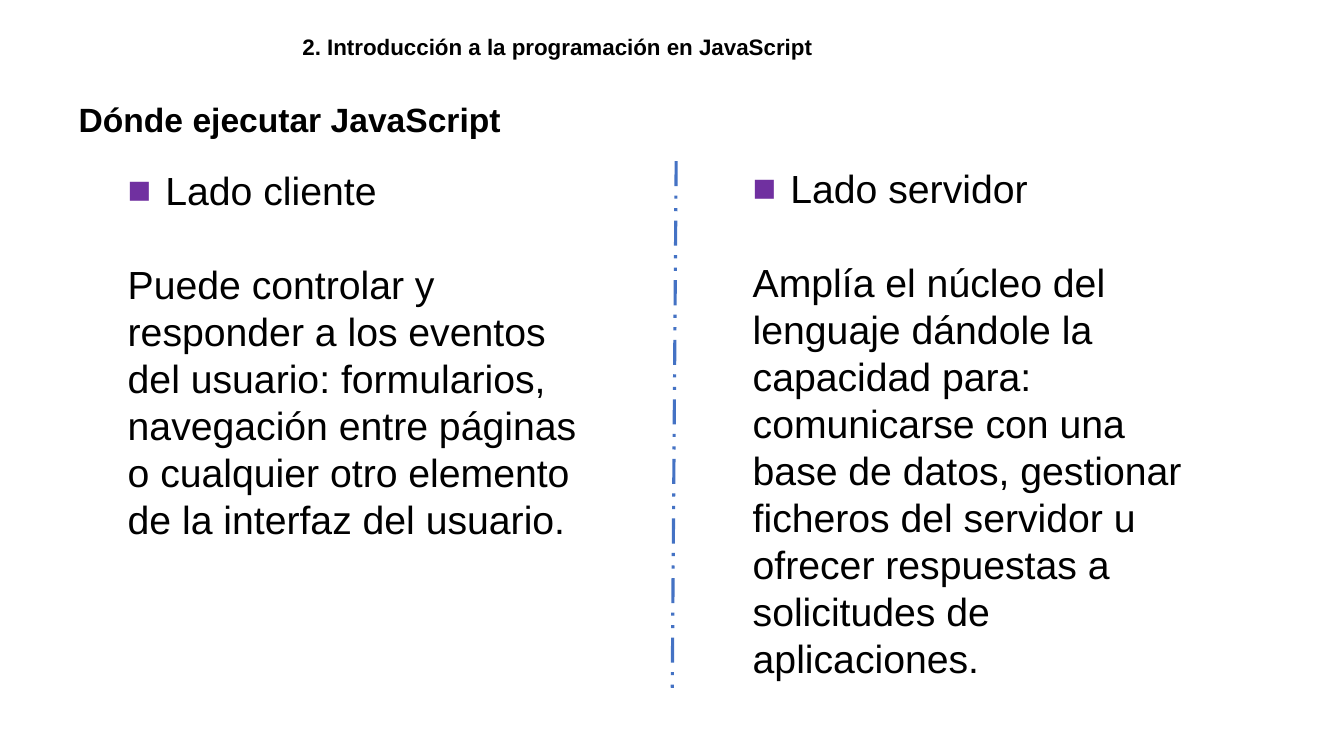
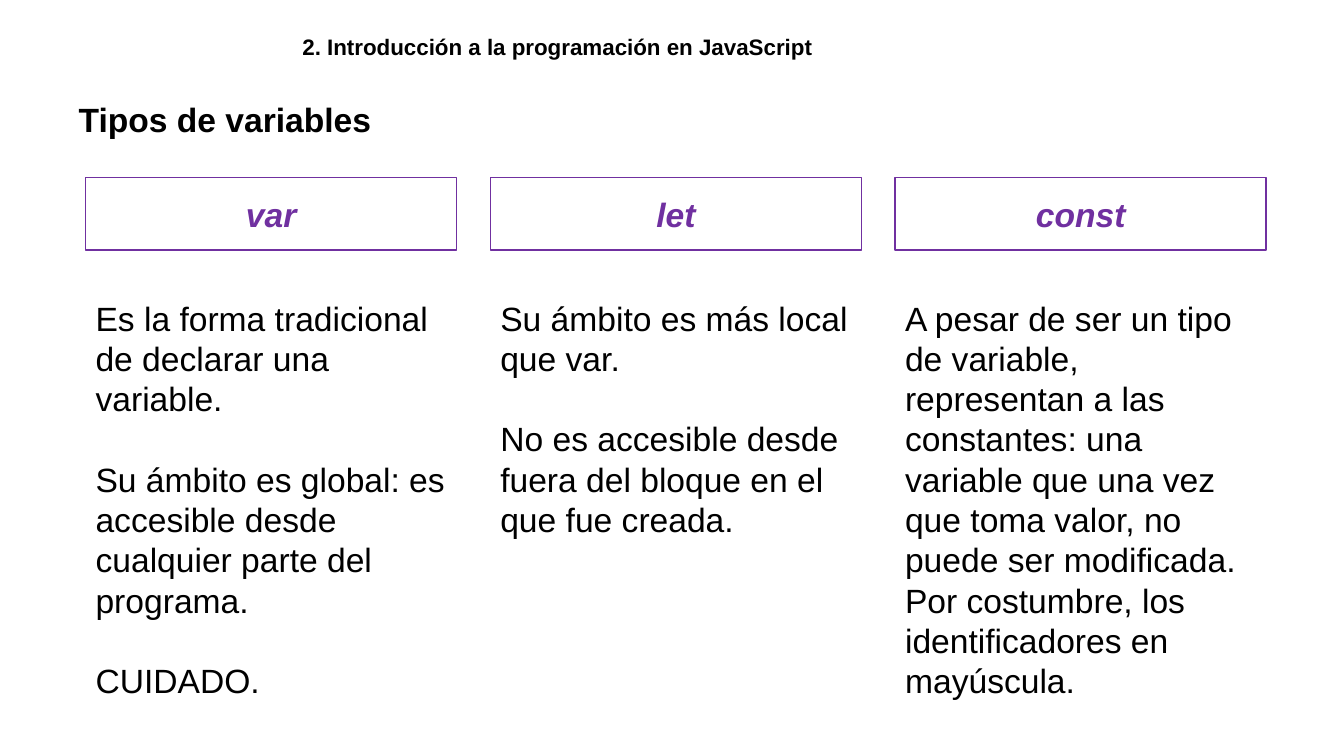
"""Build two slides on where JavaScript runs and its kinds of variables."""
from dataclasses import dataclass

from lxml.etree import SubElement
from pptx import Presentation
from pptx.dml.color import RGBColor
from pptx.enum.dml import MSO_LINE
from pptx.enum.shapes import MSO_CONNECTOR, MSO_SHAPE
from pptx.enum.text import MSO_ANCHOR, MSO_AUTO_SIZE, PP_ALIGN
from pptx.oxml.ns import qn
from pptx.presentation import Presentation as Deck
from pptx.slide import Slide
from pptx.text.text import _Paragraph as Paragraph
from pptx.util import Cm, Pt

COLORS = {"text": "000000", "accent": "7030A0", "divider": "4472C4", "paper": "FFFFFF"}
FONT = "Arial"
CHAPTER = "2. Introducción a la programación en JavaScript"
TITLE_ONLY = 5
LINE_HEIGHT = 1.2
BULLET_INDENT = 0.95


@dataclass(frozen=True)
class Box:
    left: float
    top: float
    width: float
    height: float

    def lengths(self) -> tuple[Cm, Cm, Cm, Cm]:
        return Cm(self.left), Cm(self.top), Cm(self.width), Cm(self.height)


@dataclass(frozen=True)
class Side:
    box: Box
    heading: str
    description: str


@dataclass(frozen=True)
class Variable:
    keyword: str
    paragraphs: tuple[str, ...]
    height: float
    blank_lines: int = 1


CHAPTER_BOX = Box(7.37, 0.71, 18.24, 0.94)
TITLE_BOX = Box(1.73, 2.36, 30.4, 1.27)

SIDES = (
    Side(
        Box(2.97, 4.06, 12.14, 11.02),
        "Lado cliente",
        "Puede controlar y responder a los eventos del usuario: formularios, "
        "navegación entre páginas o cualquier otro elemento de la interfaz del usuario.",
    ),
    Side(
        Box(18.72, 4.01, 12.14, 14.63),
        "Lado servidor",
        "Amplía el núcleo del lenguaje dándole la capacidad para: comunicarse con una "
        "base de datos, gestionar ficheros del servidor u ofrecer respuestas a "
        "solicitudes de aplicaciones.",
    ),
)

VARIABLES = (
    Variable(
        "var",
        (
            "Es la forma tradicional de declarar una variable.",
            "Su ámbito es global: es accesible desde cualquier parte del programa.",
            "CUIDADO.",
        ),
        10.52,
    ),
    Variable(
        "let",
        (
            "Su ámbito es más local que var.",
            "No es accesible desde fuera del bloque en el que fue creada.",
        ),
        6.4,
    ),
    Variable(
        "const",
        (
            "A pesar de ser un tipo de variable, representan a las constantes: una "
            "variable que una vez que toma valor, no puede ser modificada.",
            "Por costumbre, los identificadores en mayúscula.",
        ),
        10.52,
        blank_lines=0,
    ),
)


def rgb(name: str) -> RGBColor:
    return RGBColor.from_string(COLORS[name])


def format_runs(
    paragraph: Paragraph, size: float, color: str = "text", bold: bool = False, italic: bool = False
) -> None:
    for run in paragraph.runs:
        run.font.name = FONT
        run.font.size = Pt(size)
        run.font.bold = bold
        run.font.italic = italic
        run.font.color.rgb = rgb(color)


def add_bullet(paragraph: Paragraph) -> None:
    properties = paragraph._p.get_or_add_pPr()
    properties.set("marL", str(Cm(BULLET_INDENT)))
    properties.set("indent", str(-Cm(BULLET_INDENT)))
    bullet_color = SubElement(properties, qn("a:buClr"))
    SubElement(bullet_color, qn("a:srgbClr"), val=COLORS["accent"])
    SubElement(properties, qn("a:buFont"), typeface=FONT)
    SubElement(properties, qn("a:buChar"), char="■")


def add_text(
    slide: Slide,
    box: Box,
    texts: tuple[str, ...],
    size: float,
    blank_lines: int = 1,
    bold: bool = False,
    bulleted: bool = False,
) -> None:
    text_frame = slide.shapes.add_textbox(*box.lengths()).text_frame
    text_frame.word_wrap = True
    text_frame.text = "\n".join(texts)
    for index, paragraph in enumerate(text_frame.paragraphs):
        if index == 0 and bulleted:
            add_bullet(paragraph)
        if index > 0:
            paragraph.space_before = Pt(size * LINE_HEIGHT * blank_lines)
        format_runs(paragraph, size, bold=bold)


def add_titled_slide(presentation: Deck, heading: str) -> Slide:
    slide = presentation.slides.add_slide(presentation.slide_layouts[TITLE_ONLY])
    add_text(slide, CHAPTER_BOX, (CHAPTER,), 16, bold=True)
    title = slide.shapes.title
    title.left, title.top, title.width, title.height = TITLE_BOX.lengths()
    title.line.color.rgb = rgb("paper")
    title.line.width = Pt(1.5)
    text_frame = title.text_frame
    text_frame.text = heading
    text_frame.word_wrap = True
    text_frame.auto_size = MSO_AUTO_SIZE.NONE
    text_frame.vertical_anchor = MSO_ANCHOR.TOP
    paragraph = text_frame.paragraphs[0]
    paragraph.alignment = PP_ALIGN.LEFT
    paragraph.line_spacing = 1.0
    paragraph.space_before = Pt(0)
    format_runs(paragraph, 24, bold=True)
    return slide


def add_divider(slide: Slide) -> None:
    divider = slide.shapes.add_connector(
        MSO_CONNECTOR.STRAIGHT, Cm(17.04), Cm(4.06), Cm(16.94), Cm(17.53)
    )
    divider.line.color.rgb = rgb("divider")
    divider.line.width = Pt(2.25)
    divider.line.dash_style = MSO_LINE.DASH_DOT_DOT
    SubElement(divider._element.spPr, qn("a:effectLst"))


def add_keyword(slide: Slide, box: Box, keyword: str) -> None:
    shape = slide.shapes.add_shape(MSO_SHAPE.RECTANGLE, *box.lengths())
    shape.shadow.inherit = False
    shape.fill.solid()
    shape.fill.fore_color.rgb = rgb("paper")
    shape.line.color.rgb = rgb("accent")
    shape.line.width = Pt(1)
    shape.text_frame.text = keyword
    shape.text_frame.vertical_anchor = MSO_ANCHOR.MIDDLE
    paragraph = shape.text_frame.paragraphs[0]
    paragraph.alignment = PP_ALIGN.CENTER
    format_runs(paragraph, 24, "accent", bold=True, italic=True)


def build_sides(presentation: Deck) -> None:
    slide = add_titled_slide(presentation, "Dónde ejecutar JavaScript")
    for side in SIDES:
        add_text(slide, side.box, (side.heading, side.description), 28, bulleted=True)
    add_divider(slide)


def build_variables(presentation: Deck) -> None:
    slide = add_titled_slide(presentation, "Tipos de variables")
    first_left, pitch, width = 2.16, 10.2, 9.35
    for index, variable in enumerate(VARIABLES):
        left = first_left + index * pitch
        add_keyword(slide, Box(left, 4.47, width, 1.83), variable.keyword)
        add_text(
            slide,
            Box(left, 7.37, width, variable.height),
            variable.paragraphs,
            24,
            variable.blank_lines,
        )


def main() -> None:
    presentation = Presentation()
    presentation.slide_width = Cm(33.87)
    presentation.slide_height = Cm(19.05)
    build_sides(presentation)
    build_variables(presentation)
    presentation.save("out.pptx")


if __name__ == "__main__":
    main()
